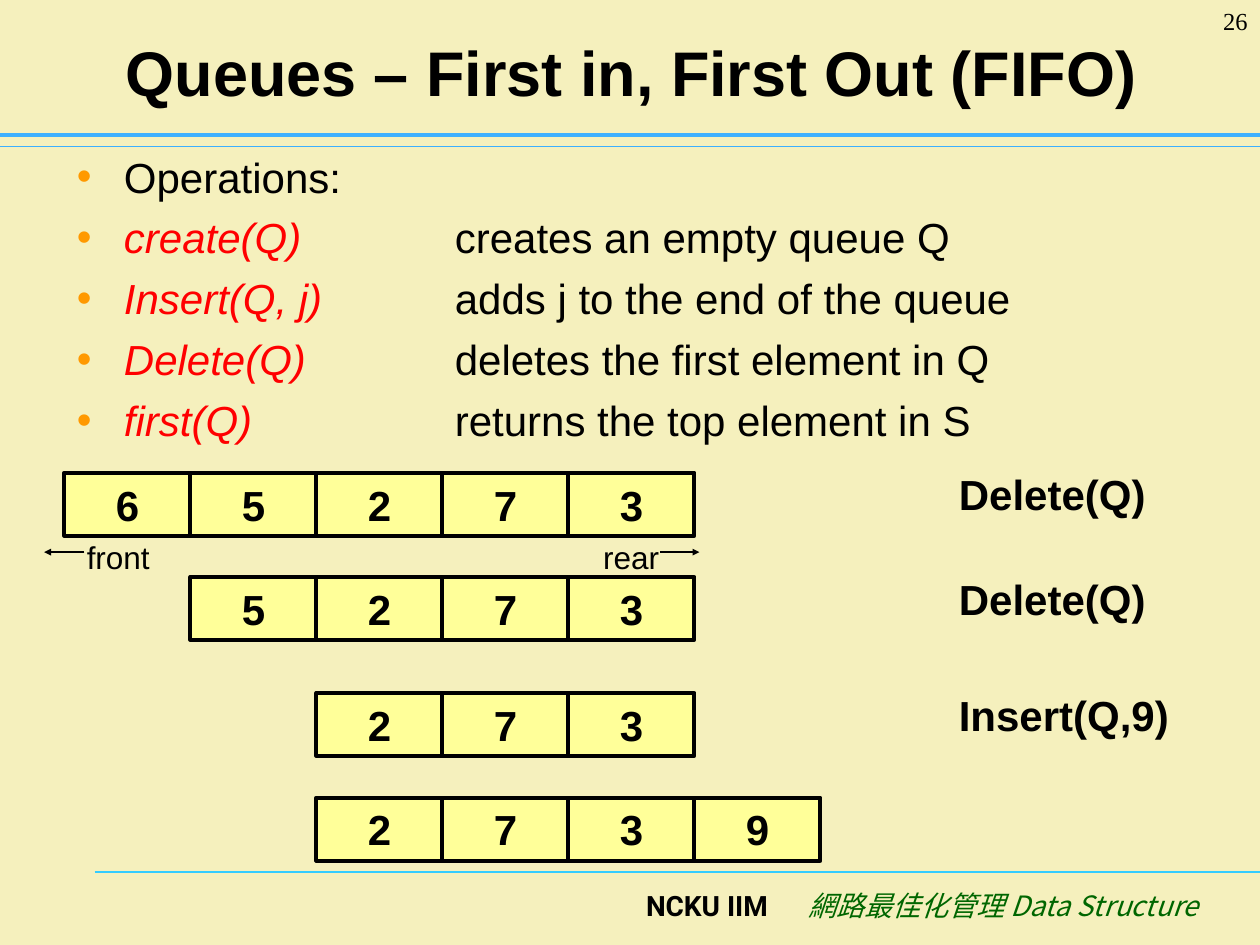
from lxml import etree
from pptx import Presentation
from pptx import util as u
from pptx.dml.color import RGBColor
from pptx.enum import shapes, text
from pptx.oxml import ns

CREAM = RGBColor(0xF5, 0xF0, 0xBD)
YELLOW = RGBColor(0xFF, 0xFF, 0x99)
BLACK = RGBColor(0, 0, 0)
RED = RGBColor(0xFF, 0, 0)
GREEN = RGBColor(0, 0x66, 0)
ORANGE = RGBColor(0xFF, 0x99, 0)
BLUE = RGBColor(0x3D, 0xB0, 0xFF)
CYAN = RGBColor(0x33, 0xCC, 0xFF)

LEFT, MID, RIGHT = text.PP_ALIGN.LEFT, text.PP_ALIGN.CENTER, text.PP_ALIGN.RIGHT
PLAIN = dict(name="Arial", size=u.Pt(24))
BOLD = dict(PLAIN, bold=True)
SMALL = dict(PLAIN, size=u.Pt(18))
HEAD = dict(BOLD, size=u.Pt(36))
PAGE = dict(name="Times New Roman", size=u.Pt(14))
DEPT = dict(name="Roboto", size=u.Pt(16), bold=True)
COURSE = dict(name="Noto Sans CJK SC", size=u.Pt(16), italic=True)

TITLE = "Queues – First in, First Out (FIFO)"
INTRO = "Operations:"
CALLS = [
    ("create(Q)", "creates an empty queue Q"),
    ("Insert(Q, j)", "adds j to the end of the queue"),
    ("Delete(Q)", "deletes the first element in Q"),
    ("first(Q)", "returns the top element in S"),
]
# queue items, first column, top in cm, next operation
QUEUES = [
    ("65273", 0, 9.53, "Delete(Q)"),
    ("5273", 1, 11.63, "Delete(Q)"),
    ("273", 2, 13.97, "Insert(Q,9)"),
    ("2739", 2, 16.08, None),
]
# word, box left, box width, arrow start, arrow end in cm
ENDS = [
    ("front", 1.5, 1.78, 1.7, 0.89),
    ("rear", 11.91, 1.63, 13.31, 14.1),
]
# words, box left, box width in cm, format, colour
FOOT = [
    ("NCKU IIM", 10.73, 5, DEPT, BLACK),
    ("網路最佳化管理 Data Structure", 15.41, 9, COURSE, GREEN),
]
# left, top, colour, width in points
RULES = [(1.91, 17.58, CYAN, 0.75), (0, 2.95, BLUE, 0.75), (0, 2.72, BLUE, 2.5)]
WIDE, HIGH = 25.4, 19.05
CELL_X, CELL_W, CELL_H = 1.3, 2.54, 1.27
CALL_X, CALL_UP = 19.08, 0.2


def add_run(par, words, form, color=BLACK):
    run = par.add_run()
    run.text = words
    for key, val in form.items():
        setattr(run.font, key, val)
    run.font.color.rgb = color


def add_box(slide, x, y, w, h, words="", form=PLAIN, align=LEFT, wrap=True,
            anchor=text.MSO_ANCHOR.TOP, color=BLACK):
    """Add a text box and return its first paragraph."""
    frame = slide.shapes.add_textbox(u.Cm(x), u.Cm(y), u.Cm(w), u.Cm(h)).text_frame
    frame.word_wrap, frame.vertical_anchor = wrap, anchor
    par = frame.paragraphs[0]
    par.alignment = align
    if words:
        add_run(par, words, form, color)
    return par


def add_tag(parent, tag, **attrs):
    return etree.SubElement(parent, ns.qn(tag), attrs)


def add_bullet(par):
    props = par._p.get_or_add_pPr()
    props.set("marL", str(u.Cm(0.95)))
    props.set("indent", str(u.Cm(-0.95)))
    add_tag(add_tag(props, "a:buClr"), "a:srgbClr", val=str(ORANGE))
    add_tag(props, "a:buFont", typeface="Arial")
    add_tag(props, "a:buChar", char="•")
    add_tag(add_tag(props, "a:tabLst"), "a:tab", pos=str(u.Cm(7.62)), algn="l")


def add_line(slide, x1, x2, y, color, width, arrow=False):
    line = slide.shapes.add_connector(
        shapes.MSO_CONNECTOR.STRAIGHT, u.Cm(x1), u.Cm(y), u.Cm(x2), u.Cm(y))
    line.line.color.rgb, line.line.width = color, u.Pt(width)
    if arrow:
        add_tag(line.line._get_or_add_ln(), "a:tailEnd",
                type="triangle", w="sm", len="sm")
    add_tag(line._element.spPr, "a:effectLst")


def add_cell(slide, col, top, item):
    cell = slide.shapes.add_shape(
        shapes.MSO_SHAPE.RECTANGLE, u.Cm(CELL_X + col * CELL_W), u.Cm(top),
        u.Cm(CELL_W), u.Cm(CELL_H))
    cell.shadow.inherit = False
    cell.fill.solid()
    cell.fill.fore_color.rgb = YELLOW
    cell.line.color.rgb, cell.line.width = BLACK, u.Pt(2.25)
    frame = cell.text_frame
    frame.word_wrap, frame.vertical_anchor = False, text.MSO_ANCHOR.MIDDLE
    par = frame.paragraphs[0]
    par.alignment = MID
    add_run(par, item, BOLD)


def add_calls(slide):
    par = add_box(slide, 1.3, 2.92, 23.44, 7.52)
    add_bullet(par)
    add_run(par, INTRO, PLAIN)
    frame = par._parent
    for call, job in CALLS:
        par = frame.add_paragraph()
        par.space_before = u.Pt(6)
        add_bullet(par)
        add_run(par, call + "\t", dict(PLAIN, italic=True), RED)
        add_run(par, job, PLAIN)


def main():
    deck = Presentation()
    deck.slide_width, deck.slide_height = u.Cm(WIDE), u.Cm(HIGH)
    slide = deck.slides.add_slide(deck.slide_layouts[6])
    slide.background.fill.solid()
    slide.background.fill.fore_color.rgb = CREAM

    for left, top, color, width in RULES:
        add_line(slide, left, WIDE, top, color, width)
    for words, left, width, form, color in FOOT:
        add_box(slide, left, 17.78, width, 1.27, words, form, RIGHT, color=color)

    add_box(slide, 1.3, 0.33, 22.86, 2.21, TITLE, HEAD, MID,
            anchor=text.MSO_ANCHOR.MIDDLE)
    add_calls(slide)
    for items, first, top, call in QUEUES:
        for col, item in enumerate(items, first):
            add_cell(slide, col, top, item)
        if call:
            add_box(slide, CALL_X, top - CALL_UP, 5.28, 1.27, call, BOLD)
    for word, left, width, start, end in ENDS:
        add_box(slide, left, 10.72, width, 1.02, word, SMALL, wrap=False)
        add_line(slide, start, end, 11.13, BLACK, 1, arrow=True)
    add_box(slide, 23.29, 0, 2.11, 1.27, "26", PAGE, RIGHT)
    deck.save("out.pptx")


if __name__ == "__main__":
    main()
